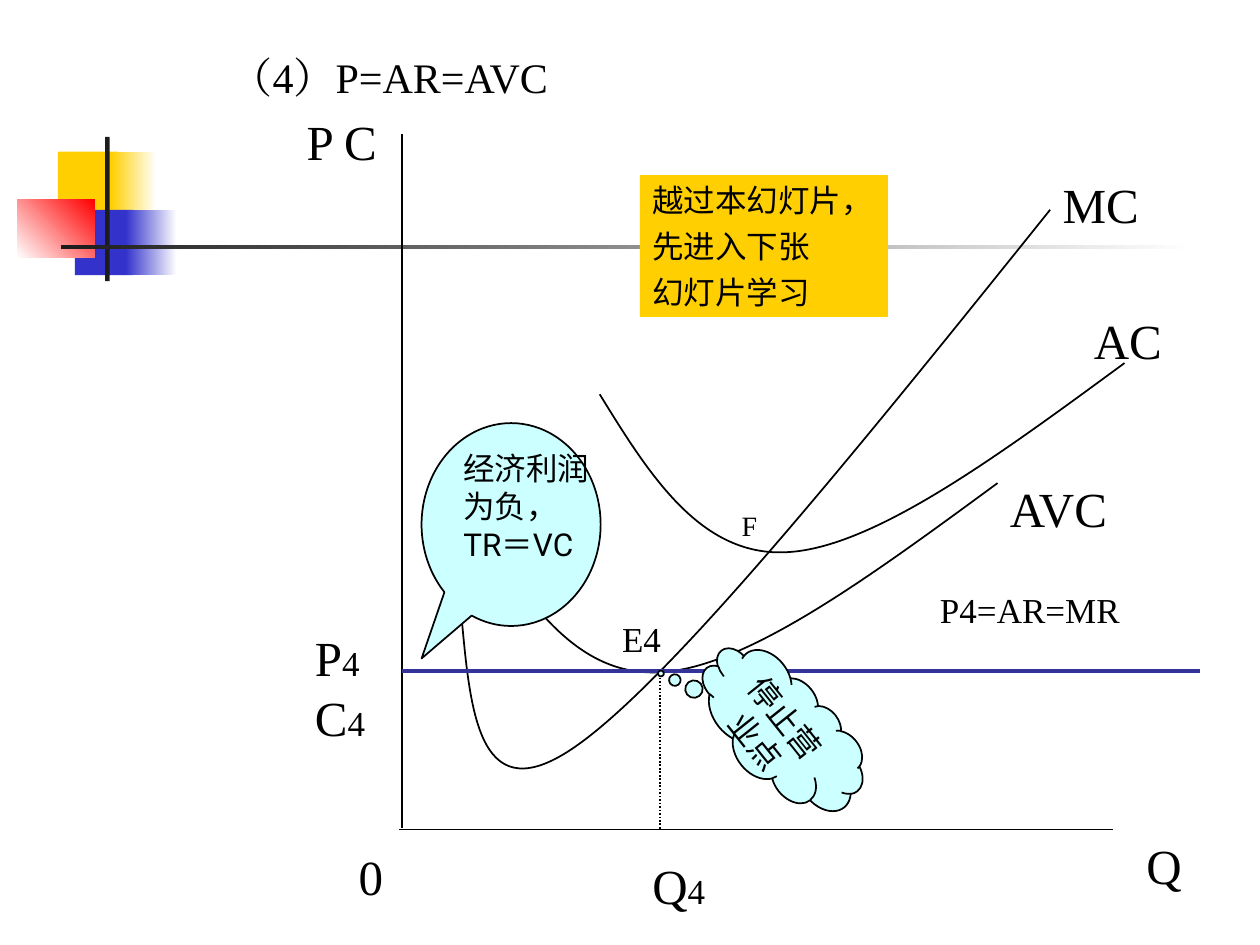
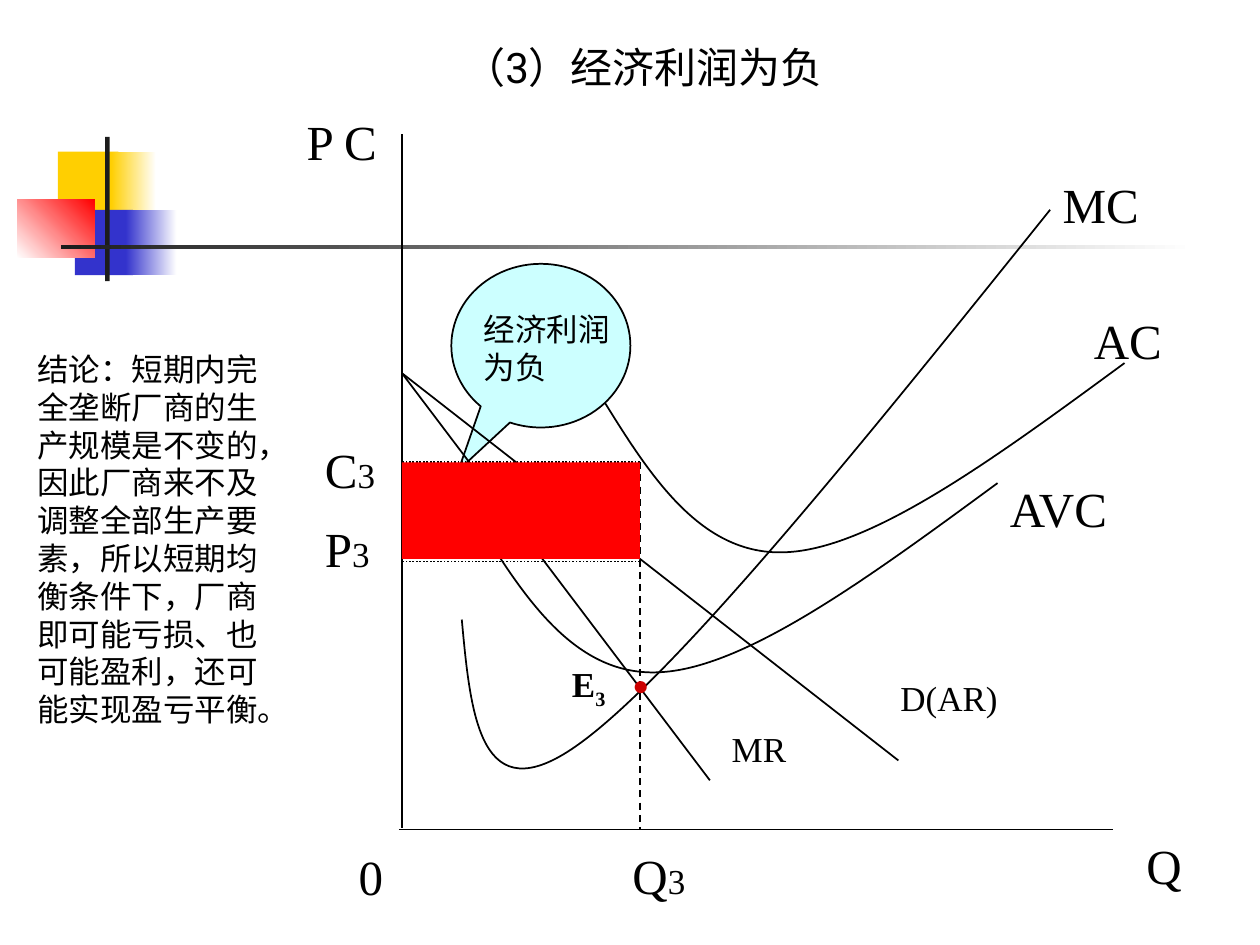
"""Build two slides on short-run equilibrium of a firm with cost-curve diagrams."""
from dataclasses import dataclass
from typing import Optional

import lxml.etree
import pptx
import pptx.dml.color
import pptx.enum.dml
import pptx.enum.shapes
import pptx.enum.text
import pptx.oxml.ns
import pptx.util

Cm = pptx.util.Cm
Pt = pptx.util.Pt
RGBColor = pptx.dml.color.RGBColor
SHAPE = pptx.enum.shapes.MSO_SHAPE
DASH = pptx.enum.dml.MSO_LINE
ALIGN = pptx.enum.text.PP_ALIGN
qn = pptx.oxml.ns.qn

BLACK = RGBColor(0x00, 0x00, 0x00)
WHITE = RGBColor(0xFF, 0xFF, 0xFF)
YELLOW = RGBColor(0xFF, 0xCF, 0x01)
BLUE = RGBColor(0x33, 0x33, 0xCC)
NAVY = RGBColor(0x33, 0x33, 0x99)
RED = RGBColor(0xFF, 0x00, 0x00)
DARK_RED = RGBColor(0xCC, 0x00, 0x00)
CHARCOAL = RGBColor(0x1C, 0x1C, 0x1C)
PALE_CYAN = RGBColor(0xCC, 0xFF, 0xFF)

SERIF, SANS, ARIAL = "Times New Roman", "Roboto", "Arial"
AXIS_X, AXIS_Y = 8.1, 16.72
DROP_END = 16.74


@dataclass(frozen=True)
class Block:
    left: float
    top: float
    width: float
    height: float
    color: RGBColor
    fade_to: Optional[RGBColor] = None
    angle: float = 0


@dataclass(frozen=True)
class Label:
    text: str
    left: float
    top: float
    width: float
    size: float = 28
    sub: str = ""
    font: str = SERIF
    color: RGBColor = BLACK
    bold: bool = False
    baseline: int = 0
    height: float = 0


@dataclass(frozen=True)
class Line:
    x1: float
    y1: float
    x2: float
    y2: float
    color: RGBColor = BLACK
    width: float = 1
    dash: Optional[DASH] = None


ORNAMENT = [
    Block(1.17, 3.06, 1.22, 1.32, YELLOW),
    Block(2.24, 3.06, 0.91, 1.32, YELLOW, WHITE),
    Block(1.51, 4.23, 1.17, 1.32, BLUE),
    Block(2.54, 4.23, 1.02, 1.32, BLUE, WHITE),
    Block(0.35, 4.02, 1.56, 1.18, WHITE, RED, 45),
    Block(2.12, 2.76, 0.09, 2.91, CHARCOAL),
    Block(1.23, 4.94, 22.86, 0.09, CHARCOAL, WHITE),
]
AXES = [
    Line(AXIS_X, 2.71, AXIS_X, 16.7),
    Line(8.04, AXIS_Y, 22.44, AXIS_Y),
]
CHART_LABELS = [
    Label("Q", 22.86, 16.72, 1.27),
    Label("P C", 5.93, 2.12, 2.96),
    Label("0", 6.98, 16.94, 1.7),
    Label("MC", 21.17, 3.39, 2.11),
    Label("AC", 21.8, 6.14, 1.91),
    Label("AVC", 20.11, 9.53, 3.17),
]
MC = [(9.31, 12.49), (9.49, 14.45), (9.68, 16.41), (11.63, 15.03),
      (13.6, 13.64), (17.39, 8.94), (21.17, 4.23)]
AVC = [(9.53, 10.37), (10.54, 12.01), (11.58, 13.67), (13.34, 13.55),
       (15.09, 13.44), (17.6, 11.58), (20.11, 9.74)]
AC = [(x + 2.56, y - 2.42) for x, y in AVC]

STOP_LINES = [
    Line(AXIS_X, 13.52, 24.19, 13.52, NAVY, 2.25),
    Line(13.3, 13.52, 13.3, DROP_END, dash=DASH.ROUND_DOT),
]
STOP_LABELS = [
    Label("（4）P=AR=AVC", 4.4, 0.92, 7.62, 24),
    Label("E", 12.29, 12.32, 1.4, 20, "4"),
    Label("P4=AR=MR", 18.7, 11.73, 4.65, 20),
    Label("P", 6.1, 12.52, 1.7, sub="4"),
    Label("C", 6.1, 13.73, 1.7, sub="4"),
    Label("Q", 12.9, 17.13, 1.91, sub="4"),
    Label("F", 14.7, 10.13, 0.79, 16),
    Label("经济利润为负，\nTR＝VC", 9.09, 8.93, 3.61, 18, font=SANS, height=3.3),
]
LOSS_LINES = [
    Line(12.9, 9.32, 12.9, DROP_END, dash=DASH.DASH),
    Line(AXIS_X, 7.52, 18.11, 15.33),
    Line(AXIS_X, 7.52, 14.31, 15.73),
    Line(12.9, 9.32, AXIS_X, 9.32, dash=DASH.ROUND_DOT),
    Line(12.9, 11.32, AXIS_X, 11.32, dash=DASH.ROUND_DOT),
]
CONCLUSION = """结论：短期内完
全垄断厂商的生
产规模是不变的，
因此厂商来不及
调整全部生产要
素，所以短期均
衡条件下，厂商
即可能亏损、也
可能盈利，还可
能实现盈亏平衡。"""
LOSS_LABELS = [
    Label("（3）经济利润为负", 9.09, 0.72, 13, 24, font=SANS),
    Label("D(AR)", 17.9, 13.52, 3.2, 20),
    Label("MR", 14.5, 14.54, 2.59, 20),
    Label("P", 6.3, 10.32, 1.7, sub="3"),
    Label("C", 6.3, 8.74, 1.7, sub="3"),
    Label("Q", 12.5, 16.92, 1.91, sub="3"),
    Label("E", 11.28, 13.24, 1.22, 20, "3", bold=True, baseline=-25000, height=1.22),
    Label("经济利润为负", 9.5, 6.12, 3.61, 18, font=SANS, height=1.78),
    Label(CONCLUSION, 0.5, 6.93, 5.62, 18, font=SANS, height=9.4),
    Label("●", 12.5, 13.34, 1.07, 16, font=ARIAL, color=DARK_RED),
]


def set_font(r, name: str, size: float, color: RGBColor = BLACK) -> None:
    r.font.size = Pt(size)
    r.font.color.rgb = color
    r.font.name = name
    ea = lxml.etree.SubElement(r._r.get_or_add_rPr(), qn("a:ea"))
    ea.set("typeface", name)


def add_block(s, block: Block, kind: SHAPE = SHAPE.RECTANGLE, outlined: bool = False):
    sp = s.shapes.add_shape(kind, Cm(block.left), Cm(block.top), Cm(block.width), Cm(block.height))
    sp.shadow.inherit = False
    if block.fade_to is None:
        sp.fill.solid()
        sp.fill.fore_color.rgb = block.color
    else:
        sp.fill.gradient()
        sp.fill.gradient_angle = block.angle
        for stop, color in zip(sp.fill.gradient_stops, (block.color, block.fade_to)):
            stop.color.rgb = color
    if outlined:
        sp.line.color.rgb = BLACK
        sp.line.width = Pt(1)
    else:
        sp.line.fill.background()
    return sp


def add_callout(s, kind: SHAPE, block: Block, tip: tuple[float, float]):
    sp = add_block(s, block, kind, outlined=True)
    sp.adjustments[0], sp.adjustments[1] = tip
    return sp


def fill_shape_text(sp, text: str, font: str, align: ALIGN, space: float = 0) -> None:
    tf = sp.text_frame
    tf.word_wrap = True
    tf.vertical_anchor = pptx.enum.text.MSO_ANCHOR.TOP
    tf.text = text
    for i, p in enumerate(tf.paragraphs):
        p.alignment = align
        if i:
            p.space_before = Pt(space)
        for r in p.runs:
            set_font(r, font, 18)


def add_label(s, label: Label) -> None:
    height = label.height or 0.25 + label.size * 0.0425
    sp = s.shapes.add_textbox(Cm(label.left), Cm(label.top), Cm(label.width), Cm(height))
    tf = sp.text_frame
    tf.word_wrap = True
    tf.text = label.text
    for p in tf.paragraphs:
        for r in p.runs:
            set_font(r, label.font, label.size, label.color)
            r.font.bold = label.bold
    if label.sub:
        r = tf.paragraphs[0].add_run()
        r.text = label.sub
        set_font(r, label.font, 20, label.color)
        r.font.bold = label.bold
        if label.baseline:
            r._r.get_or_add_rPr().set("baseline", str(label.baseline))


def add_line(s, line: Line) -> None:
    cx = s.shapes.add_connector(pptx.enum.shapes.MSO_CONNECTOR.STRAIGHT,
                                Cm(line.x1), Cm(line.y1), Cm(line.x2), Cm(line.y2))
    cx.line.color.rgb = line.color
    cx.line.width = Pt(line.width)
    if line.dash is not None:
        cx.line.dash_style = line.dash
    lxml.etree.SubElement(cx._element.spPr, qn("a:effectLst"))


def add_curve(s, knots: list[tuple[float, float]]) -> None:
    points = [(Cm(x), Cm(y)) for x, y in knots]
    builder = s.shapes.build_freeform(*points[0])
    builder.add_line_segments(points[1:], close=False)
    sp = builder.convert_to_shape()
    segments = list(sp._element.iter(qn("a:lnTo")))
    for start in range(0, len(segments), 3):
        bezier = lxml.etree.Element(qn("a:cubicBezTo"))
        segments[start].addprevious(bezier)
        for segment in segments[start:start + 3]:
            bezier.append(segment[0])
            segment.getparent().remove(segment)
    sp.shadow.inherit = False
    sp.fill.background()
    sp.line.color.rgb = BLACK
    sp.line.width = Pt(1)


def add_chart_slide(prs):
    s = prs.slides.add_slide(prs.slide_layouts[6])
    for block in ORNAMENT:
        add_block(s, block)
    for line in AXES:
        add_line(s, line)
    for knots in (MC, AVC, AC):
        add_curve(s, knots)
    for label in CHART_LABELS:
        add_label(s, label)
    return s


def build_shutdown_slide(prs) -> None:
    s = add_chart_slide(prs)
    for line in STOP_LINES:
        add_line(s, line)
    add_callout(s, SHAPE.OVAL_CALLOUT, Block(8.5, 8.53, 3.61, 4.09, PALE_CYAN), (-0.5, 0.66))
    for label in STOP_LABELS:
        add_label(s, label)
    cloud = add_callout(s, SHAPE.CLOUD_CALLOUT, Block(13.74, 13.67, 4.01, 2.11, PALE_CYAN),
                        (-0.6, 0.56))
    cloud.rotation = 51.5
    fill_shape_text(cloud, "停止营业点", SANS, ALIGN.CENTER)
    note = add_block(s, Block(12.9, 3.53, 5, 2.86, YELLOW))
    fill_shape_text(note, "越过本幻灯片，\n先进入下张\n幻灯片学习", ARIAL, ALIGN.LEFT, 4.5)


def build_loss_slide(prs) -> None:
    s = add_chart_slide(prs)
    add_callout(s, SHAPE.OVAL_CALLOUT, Block(9.1, 5.32, 3.61, 3.3, PALE_CYAN), (-0.46, 0.76))
    for line in LOSS_LINES:
        add_line(s, line)
    add_block(s, Block(AXIS_X, 9.32, 4.8, 1.95, RED))
    for label in LOSS_LABELS:
        add_label(s, label)


def main() -> None:
    prs = pptx.Presentation()
    prs.slide_width, prs.slide_height = Cm(25.4), Cm(19.05)
    build_shutdown_slide(prs)
    build_loss_slide(prs)
    prs.save("out.pptx")


if __name__ == "__main__":
    main()
